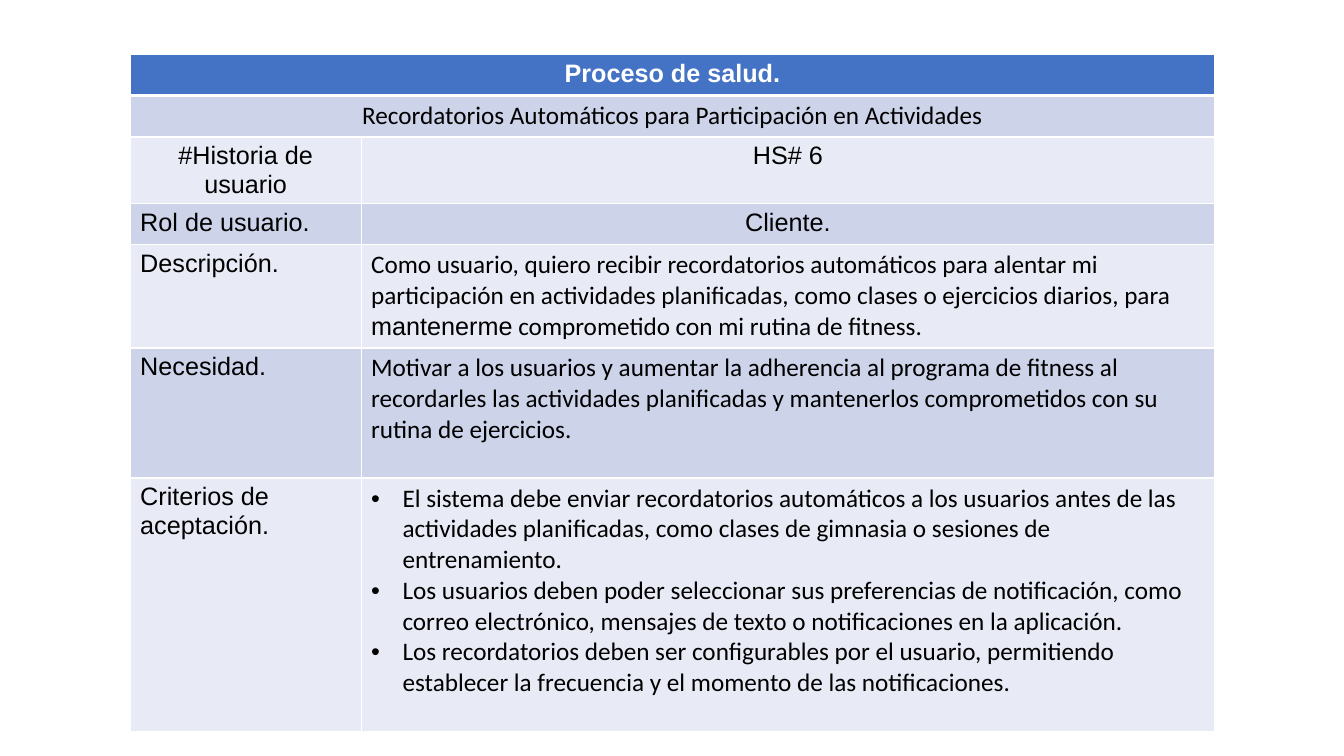
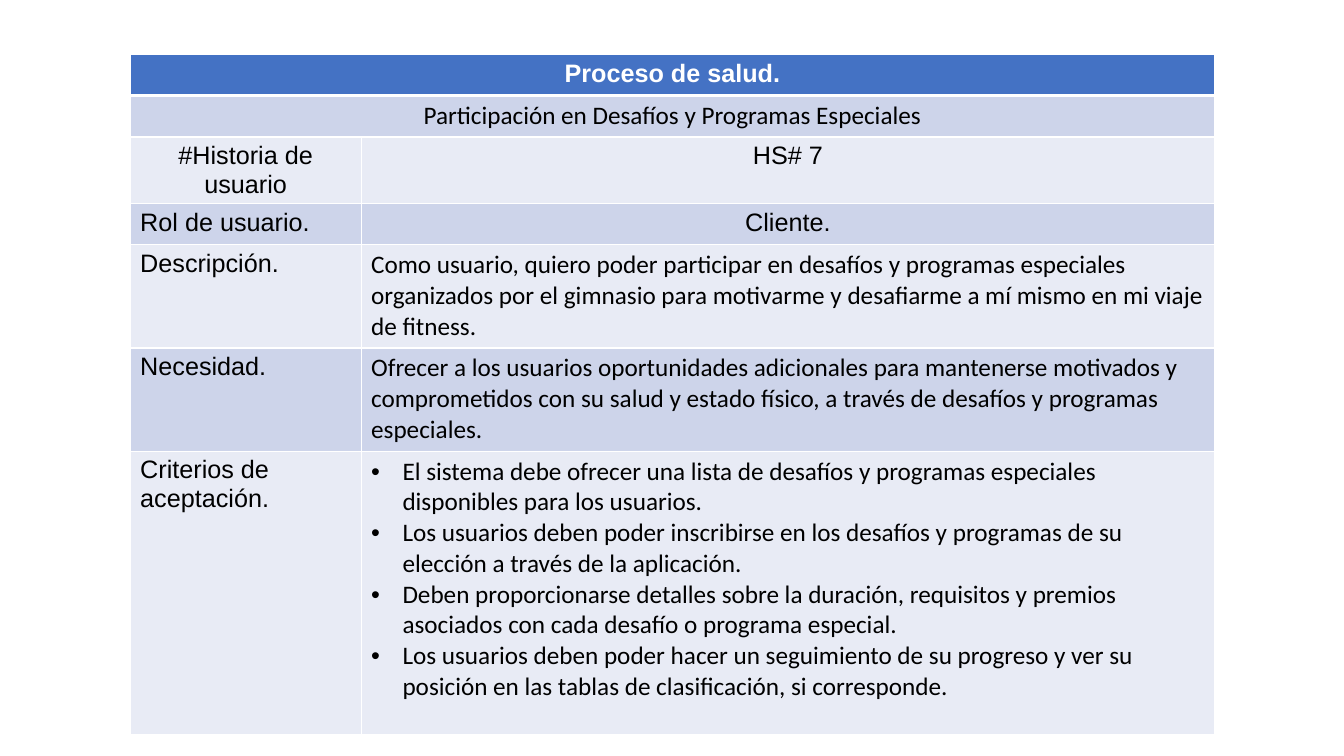
from dataclasses import dataclass
from typing import NamedTuple

from lxml.etree import SubElement
from pptx import Presentation
from pptx.dml.color import RGBColor
from pptx.enum.text import PP_ALIGN as Align
from pptx.oxml.ns import qn
from pptx.slide import Slide
from pptx.table import _Cell as Cell
from pptx.text.text import _Paragraph as Paragraph
from pptx.util import Cm, Pt


@dataclass(frozen=True)
class Theme:
    header: str = "4472C4"
    bands: tuple[str, str] = ("E8EBF5", "CDD4EA")
    text: str = "000000"
    light: str = "FFFFFF"
    label_font: str = "Arial"
    body_font: str = "Calibri"
    size: float = 18
    border: float = 1
    header_border: float = 3


class Span(NamedTuple):
    """A stretch of text, with a font only if it differs from its paragraph."""
    text: str
    font: str | None = None


@dataclass(frozen=True)
class Story:
    title: str
    number: int
    description: tuple[Span, ...]
    need: str
    criteria: tuple[str, ...]
    need_height: float
    criteria_height: float


@dataclass(frozen=True)
class CellText:
    paragraphs: tuple[tuple[Span, ...], ...]
    font: str
    centered: bool = False
    bulleted: bool = False


class Row(NamedTuple):
    height: float
    cells: tuple[CellText, ...]


THEME = Theme()
TABLE_LEFT, TABLE_TOP = 3.28, 1.37
COLUMN_WIDTHS = (5.82, 21.51)
LINE_HEIGHT, LABEL_HEIGHT, DESCRIPTION_HEIGHT = 1.04, 1.66, 2.6
BULLET_INDENT = Cm(0.79)

STORIES = (
    Story(
        title="Recordatorios Automáticos para Participación en Actividades",
        number=6,
        description=(
            Span("Como usuario, quiero recibir recordatorios automáticos para alentar mi "
                 "participación en actividades planificadas, como clases o ejercicios "
                 "diarios, para "),
            Span("mantenerme", THEME.label_font),
            Span(" comprometido con mi rutina de fitness."),
        ),
        need="Motivar a los usuarios y aumentar la adherencia al programa de fitness al "
             "recordarles las actividades planificadas y mantenerlos comprometidos con su "
             "rutina de ejercicios.",
        criteria=(
            "El sistema debe enviar recordatorios automáticos a los usuarios antes de las "
            "actividades planificadas, como clases de gimnasia o sesiones de entrenamiento.",
            "Los usuarios deben poder seleccionar sus preferencias de notificación, como "
            "correo electrónico, mensajes de texto o notificaciones en la aplicación.",
            "Los recordatorios deben ser configurables por el usuario, permitiendo "
            "establecer la frecuencia y el momento de las notificaciones.",
        ),
        need_height=3.28,
        criteria_height=6.4,
    ),
    Story(
        title="Participación en Desafíos y Programas Especiales",
        number=7,
        description=(
            Span("Como usuario, quiero poder participar en desafíos y programas especiales "
                 "organizados por el gimnasio para motivarme y desafiarme a mí mismo en mi "
                 "viaje de fitness."),
        ),
        need="Ofrecer a los usuarios oportunidades adicionales para mantenerse motivados y "
             "comprometidos con su salud y estado físico, a través de desafíos y programas "
             "especiales.",
        criteria=(
            "El sistema debe ofrecer una lista de desafíos y programas especiales "
            "disponibles para los usuarios.",
            "Los usuarios deben poder inscribirse en los desafíos y programas de su "
            "elección a través de la aplicación.",
            "Deben proporcionarse detalles sobre la duración, requisitos y premios "
            "asociados con cada desafío o programa especial.",
            "Los usuarios deben poder hacer un seguimiento de su progreso y ver su "
            "posición en las tablas de clasificación, si corresponde.",
        ),
        need_height=2.6,
        criteria_height=7.14,
    ),
)


def label(text: str, centered: bool = False) -> CellText:
    return CellText(((Span(text),),), THEME.label_font, centered)


def body(*spans: Span, centered: bool = False) -> CellText:
    return CellText((spans,), THEME.body_font, centered)


def bullets(items: tuple[str, ...]) -> CellText:
    return CellText(tuple((Span(item),) for item in items), THEME.body_font, bulleted=True)


def story_rows(story: Story) -> list[Row]:
    """Rows of one story; a row with a single cell spans both columns."""
    return [
        Row(LINE_HEIGHT, (label("Proceso de salud.", centered=True),)),
        Row(LINE_HEIGHT, (body(Span(story.title), centered=True),)),
        Row(LABEL_HEIGHT, (label("#Historia de usuario", centered=True),
                           label(f"HS# {story.number}", centered=True))),
        Row(LINE_HEIGHT, (label("Rol de usuario."), label("Cliente.", centered=True))),
        Row(DESCRIPTION_HEIGHT, (label("Descripción."), body(*story.description))),
        Row(story.need_height, (label("Necesidad."), body(Span(story.need)))),
        Row(story.criteria_height, (label("Criterios de aceptación."),
                                    bullets(story.criteria))),
    ]


def add_bullet(paragraph: Paragraph) -> None:
    properties = paragraph._p.get_or_add_pPr()
    properties.set("marL", str(BULLET_INDENT))
    properties.set("indent", str(-BULLET_INDENT))
    color = SubElement(properties, qn("a:buClr"))
    SubElement(color, qn("a:srgbClr"), val=THEME.text)
    SubElement(properties, qn("a:buFont"), typeface=THEME.label_font)
    SubElement(properties, qn("a:buChar"), char="•")


def set_borders(cell: Cell, top: float, bottom: float) -> None:
    properties = cell._tc.get_or_add_tcPr()
    widths = {"lnL": THEME.border, "lnR": THEME.border, "lnT": top, "lnB": bottom}
    for side, width in widths.items():
        line = SubElement(properties, qn(f"a:{side}"), w=str(Pt(width)))
        fill = SubElement(line, qn("a:solidFill"))
        SubElement(fill, qn("a:srgbClr"), val=THEME.light)


def style_cell(cell: Cell, row_index: int) -> None:
    """Give a cell its border and the fill of the header or of its band."""
    set_borders(cell,
                top=THEME.header_border if row_index == 1 else THEME.border,
                bottom=THEME.header_border if row_index == 0 else THEME.border)
    color = THEME.bands[row_index % 2] if row_index else THEME.header
    cell.fill.solid()
    cell.fill.fore_color.rgb = RGBColor.from_string(color)


def write_cell(cell: Cell, content: CellText, is_header: bool) -> None:
    frame = cell.text_frame
    for index, spans in enumerate(content.paragraphs):
        paragraph = frame.add_paragraph() if index else frame.paragraphs[0]
        paragraph.alignment = Align.CENTER if content.centered else Align.LEFT
        if content.bulleted:
            add_bullet(paragraph)
        font = paragraph.font
        font.name, font.size, font.bold = content.font, Pt(THEME.size), is_header
        font.color.rgb = RGBColor.from_string(THEME.light if is_header else THEME.text)
        for span in spans:
            run = paragraph.add_run()
            run.text = span.text
            if span.font:
                run.font.name = span.font


def add_story_table(slide: Slide, story: Story) -> None:
    rows = story_rows(story)
    table = slide.shapes.add_table(
        len(rows), len(COLUMN_WIDTHS), Cm(TABLE_LEFT), Cm(TABLE_TOP),
        Cm(sum(COLUMN_WIDTHS)), Cm(sum(row.height for row in rows))).table
    for column, width in zip(table.columns, COLUMN_WIDTHS):
        column.width = Cm(width)
    for row_index, row in enumerate(rows):
        table.rows[row_index].height = Cm(row.height)
        cells = table.rows[row_index].cells
        for cell in cells:
            style_cell(cell, row_index)
        if len(row.cells) == 1:
            table.cell(row_index, 0).merge(table.cell(row_index, len(COLUMN_WIDTHS) - 1))
        for cell, content in zip(cells, row.cells):
            write_cell(cell, content, is_header=row_index == 0)


def main() -> None:
    presentation = Presentation()
    presentation.slide_width, presentation.slide_height = Cm(33.87), Cm(19.05)
    blank_layout = presentation.slide_layouts[6]
    for story in STORIES:
        add_story_table(presentation.slides.add_slide(blank_layout), story)
    presentation.save("out.pptx")


if __name__ == "__main__":
    main()
